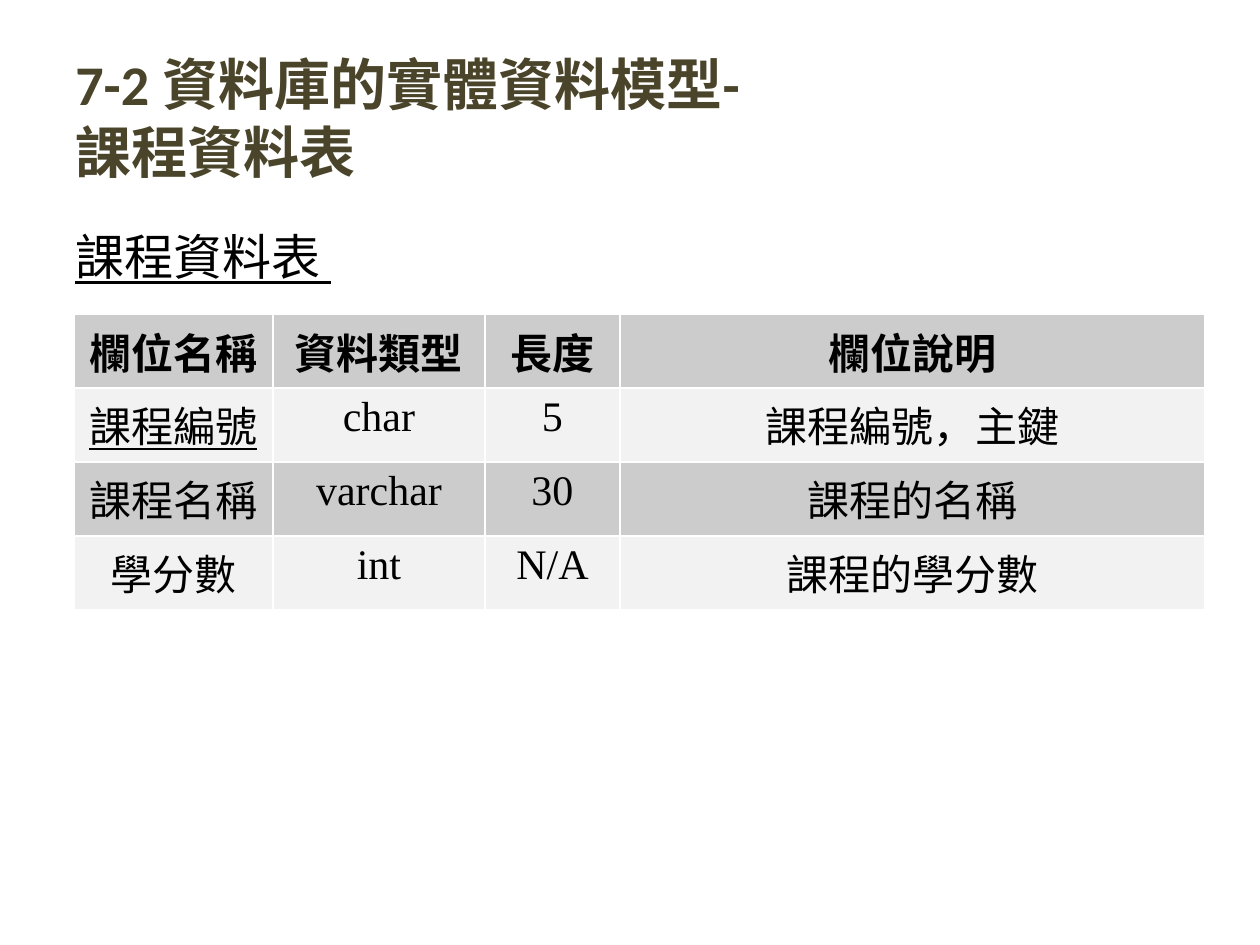
from lxml.etree import SubElement
from pptx import Presentation
from pptx.dml.color import RGBColor
from pptx.enum.text import MSO_ANCHOR as Anchor, PP_ALIGN as Align
from pptx.oxml.ns import qn
from pptx.util import Emu, Pt

PX_PER_INCH = 126
OLIVE = RGBColor(0x4A, 0x45, 0x2A)
BLACK = RGBColor(0, 0, 0)
WHITE = RGBColor(0xFF, 0xFF, 0xFF)
GREY = RGBColor(0xCC, 0xCC, 0xCC)
LIGHT = RGBColor(0xF2, 0xF2, 0xF2)

TITLE = dict(name="Calibri", size=Pt(32), bold=True)
SUBTITLE = dict(name="Calibri", size=Pt(28), underline=True)
CELL = dict(name="Times New Roman", size=Pt(24))

COLUMN_WIDTHS = [199, 212, 135, 585]
ROW_HEIGHT = 74
FIELDS = [
    ["欄位名稱", "資料類型", "長度", "欄位說明"],
    ["課程編號", "char", "5", "課程編號，主鍵"],
    ["課程名稱", "varchar", "30", "課程的名稱"],
    ["學分數", "int", "N/A", "課程的學分數"],
]
PRIMARY_KEY = "課程編號"


def px(n):
    return Emu(round(n * 914400 / PX_PER_INCH))


class SlideBuilder:
    def __init__(self, prs):
        self.s = prs.slides.add_slide(prs.slide_layouts[6])

    def fill_text(self, tf, text, style, color=BLACK, align=Align.LEFT):
        p = tf.paragraphs[0]
        p.text = text
        p.alignment = align
        for r in p.runs:
            for key, value in style.items():
                setattr(r.font, key, value)
            r.font.color.rgb = color

    def text(self, box, text, style, color=BLACK, anchor=Anchor.TOP):
        tf = self.s.shapes.add_textbox(*map(px, box)).text_frame
        tf.word_wrap = True
        tf.vertical_anchor = anchor
        self.fill_text(tf, text, style, color)

    def border(self, cell, color=WHITE, width=0.96):
        tc_pr = cell._tc.get_or_add_tcPr()
        for side in ("lnL", "lnR", "lnT", "lnB"):
            ln = SubElement(tc_pr, qn(f"a:{side}"), w=str(Pt(width)))
            fill = SubElement(ln, qn("a:solidFill"))
            SubElement(fill, qn("a:srgbClr"), val=str(color))

    def table(self, left, top, widths, row_height, rows):
        size = sum(widths), row_height * len(rows)
        table = self.s.shapes.add_table(
            len(rows), len(widths), *map(px, (left, top, *size))).table
        table.first_row = table.horz_banding = False
        for column, width in zip(table.columns, widths):
            column.width = px(width)
        for i, row in enumerate(rows):
            table.rows[i].height = px(row_height)
            for j, text in enumerate(row):
                cell = table.cell(i, j)
                self.border(cell)
                cell.fill.solid()
                cell.fill.fore_color.rgb = LIGHT if i % 2 else GREY
                is_key = j == 0 and text == PRIMARY_KEY
                style = CELL | dict(bold=i == 0, underline=is_key)
                self.fill_text(cell.text_frame, text, style, align=Align.CENTER)


def main():
    prs = Presentation()
    prs.slide_width, prs.slide_height = px(1260), px(945)
    slide = SlideBuilder(prs)
    slide.text((63, 38, 1134, 158), "7-2 資料庫的實體資料模型-\v課程資料表",
               TITLE, OLIVE, Anchor.MIDDLE)
    slide.text((63, 220, 1134, 624), "課程資料表 ", SUBTITLE)
    slide.table(74, 314, COLUMN_WIDTHS, ROW_HEIGHT, FIELDS)
    prs.save("out.pptx")


if __name__ == "__main__":
    main()
